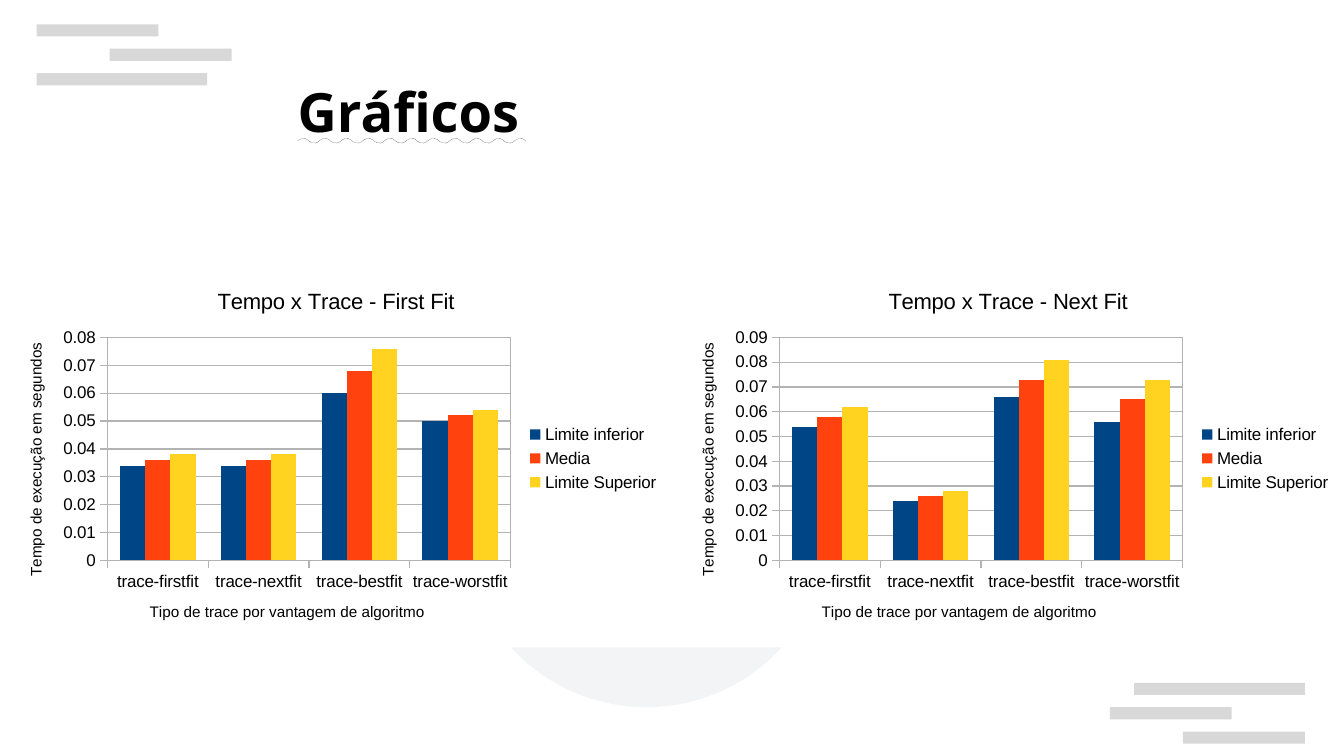
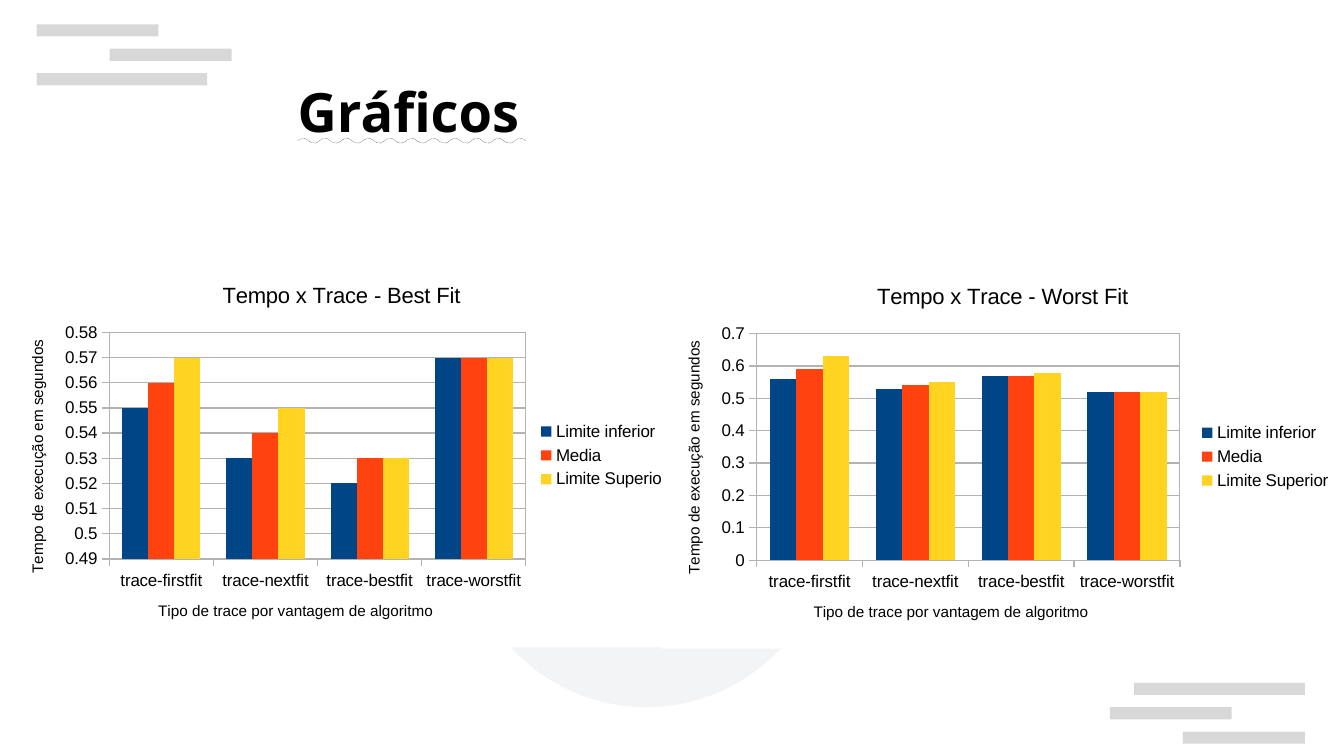
from dataclasses import dataclass
from typing import NamedTuple

import pptx
import pptx.chart.axis
import pptx.chart.chart
import pptx.chart.data
import pptx.dml.color
import pptx.enum.chart
import pptx.enum.shapes
import pptx.enum.text
import pptx.oxml
import pptx.oxml.ns
import pptx.slide
import pptx.text.text
import pptx.util

RGBColor = pptx.dml.color.RGBColor
BLACK = RGBColor(0x00, 0x00, 0x00)
WHITE = RGBColor(0xFF, 0xFF, 0xFF)
BAND_GREY = RGBColor(0xCC, 0xCC, 0xCC)
DISC_GREY = RGBColor(0x8D, 0x99, 0xAE)
GRID_GREY = RGBColor(0xB3, 0xB3, 0xB3)
SERIES_COLORS = (
    RGBColor(0x00, 0x45, 0x86),
    RGBColor(0xFF, 0x42, 0x0E),
    RGBColor(0xFF, 0xD3, 0x20),
)

TITLE_FONT = "Noto Sans"
CHART_FONT = "Arial"
COLUMNS, ROWS = 110.2, 62.0
CELL = 0.1

TRACES = ("trace-firstfit", "trace-nextfit", "trace-bestfit", "trace-worstfit")
LIMITS = ("Limite inferior", "Media", "Limite Superior")
TRACE_AXIS = "Tipo de trace por vantagem de algoritmo"
TIME_AXIS = "Tempo de execução em segundos"

NAMESPACES = (
    'xmlns:a="http://schemas.openxmlformats.org/drawingml/2006/main" '
    'xmlns:c="http://schemas.openxmlformats.org/drawingml/2006/chart"'
)


class Box(NamedTuple):
    column: float
    row: float
    columns: float
    rows: float

    def lengths(self) -> tuple[int, ...]:
        return tuple(cells(count) for count in self)


@dataclass(frozen=True)
class Decoration:
    box: Box
    color: RGBColor = BAND_GREY
    opacity: int = 75
    outline: pptx.enum.shapes.MSO_SHAPE = pptx.enum.shapes.MSO_SHAPE.RECTANGLE


@dataclass(frozen=True)
class TimeChart:
    algorithm: str
    box: Box
    times: tuple[tuple[float, ...], ...]
    top: float
    step: float = 0.01
    bottom: float = 0
    plot_left: float = 0.16
    plot_width: float = 0.6


TITLE_BOX = Box(-11.8, 3.9, 90.6, 10.4)
DECORATIONS = (
    Decoration(Box(93, 56, 14, 1)),
    Decoration(Box(91, 58, 10, 1)),
    Decoration(Box(97, 60, 10, 1)),
    Decoration(Box(3, 6, 14, 1)),
    Decoration(Box(9, 4, 10, 1)),
    Decoration(Box(3, 2, 10, 1)),
    Decoration(Box(38, 28, 30, 30), DISC_GREY, 10, pptx.enum.shapes.MSO_SHAPE.OVAL),
)
CHART_PAGES = (
    (
        TimeChart(
            "First Fit",
            Box(0, 22.1, COLUMNS / 2, 31),
            (
                (0.034, 0.034, 0.06, 0.05),
                (0.036, 0.036, 0.068, 0.052),
                (0.038, 0.038, 0.076, 0.054),
            ),
            top=0.08,
        ),
        TimeChart(
            "Next Fit",
            Box(COLUMNS / 2, 22.1, COLUMNS / 2, 31),
            (
                (0.054, 0.024, 0.066, 0.056),
                (0.058, 0.026, 0.073, 0.065),
                (0.062, 0.028, 0.081, 0.073),
            ),
            top=0.09,
        ),
    ),
    (
        TimeChart(
            "Best Fit",
            Box(0, 21.6, 56, 31.5),
            (
                (0.55, 0.53, 0.52, 0.57),
                (0.56, 0.54, 0.53, 0.57),
                (0.57, 0.55, 0.53, 0.57),
            ),
            top=0.58,
            bottom=0.49,
            plot_width=0.61,
        ),
        TimeChart(
            "Worst Fit",
            Box(COLUMNS - 56, 21.7, 56, 31.5),
            (
                (0.56, 0.53, 0.57, 0.52),
                (0.59, 0.54, 0.57, 0.52),
                (0.63, 0.55, 0.58, 0.52),
            ),
            top=0.7,
            step=0.1,
            plot_left=0.14,
            plot_width=0.62,
        ),
    ),
)


def cells(count: float) -> int:
    return pptx.util.Inches(count * CELL)


def format_font(
    font: pptx.text.text.Font,
    *,
    size: float,
    face: str = CHART_FONT,
    bold: bool = False,
) -> None:
    font.size = pptx.util.Pt(size)
    font.name = face
    font.bold = bold
    font.color.rgb = BLACK


def write_text(
    frame: pptx.text.text.TextFrame,
    text: str,
    *,
    size: float,
    face: str = CHART_FONT,
    bold: bool = False,
    underline: pptx.enum.text.MSO_UNDERLINE | None = None,
) -> None:
    paragraph = frame.paragraphs[0]
    paragraph.text = text
    paragraph.alignment = pptx.enum.text.PP_ALIGN.CENTER
    font = paragraph.runs[0].font
    format_font(font, size=size, face=face, bold=bold)
    font.underline = underline


def decorate_layout(layout: pptx.slide.SlideLayout, slide: pptx.slide.Slide) -> None:
    for decoration in DECORATIONS:
        shape = slide.shapes.add_shape(decoration.outline, *decoration.box.lengths())
        shape.shadow.inherit = False
        shape.line.fill.background()
        shape.fill.solid()
        shape.fill.fore_color.rgb = decoration.color
        color = next(shape.element.iter(pptx.oxml.ns.qn("a:srgbClr")))
        alpha = pptx.oxml.parse_xml(
            f'<a:alpha {NAMESPACES} val="{decoration.opacity * 1000}"/>'
        )
        color.append(alpha)
        layout.shapes.element.append(shape.element)


def add_title(slide: pptx.slide.Slide) -> None:
    title = slide.shapes.title
    title.left, title.top, title.width, title.height = TITLE_BOX.lengths()
    frame = title.text_frame
    frame.margin_left = frame.margin_top = frame.margin_right = frame.margin_bottom = 0
    frame.vertical_anchor = pptx.enum.text.MSO_ANCHOR.MIDDLE
    frame.auto_size = pptx.enum.text.MSO_AUTO_SIZE.NONE
    frame.word_wrap = True
    write_text(
        frame,
        "Gráficos",
        size=32,
        face=TITLE_FONT,
        bold=True,
        underline=pptx.enum.text.MSO_UNDERLINE.WAVY_LINE,
    )


def format_axis(axis: pptx.chart.axis.CategoryAxis | pptx.chart.axis.ValueAxis, title: str) -> None:
    axis.has_title = True
    write_text(axis.axis_title.text_frame, title, size=9)
    format_font(axis.tick_labels.font, size=10)
    axis.tick_labels.number_format = "General"
    axis.tick_labels.number_format_is_linked = False
    axis.major_tick_mark = pptx.enum.chart.XL_TICK_MARK.OUTSIDE
    axis.minor_tick_mark = pptx.enum.chart.XL_TICK_MARK.NONE
    axis.format.line.color.rgb = GRID_GREY
    axis.format.line.width = 0


def frame_plot(chart: pptx.chart.chart.Chart, spec: TimeChart) -> None:
    qn = pptx.oxml.ns.qn
    body = chart.element.find(qn("c:chart"))
    plot_area = body.find(qn("c:plotArea"))
    for automatic in plot_area.findall(qn("c:layout")):
        plot_area.remove(automatic)
    shares = {"x": spec.plot_left, "y": 0.18, "w": spec.plot_width, "h": 0.59}
    measures = "".join(f'<c:{key} val="{share}"/>' for key, share in shares.items())
    plot_area.insert(
        0,
        pptx.oxml.parse_xml(
            f'<c:layout {NAMESPACES}><c:manualLayout><c:layoutTarget val="inner"/>'
            f'<c:xMode val="edge"/><c:yMode val="edge"/>{measures}'
            "</c:manualLayout></c:layout>"
        ),
    )
    plot_area.append(
        pptx.oxml.parse_xml(
            f'<c:spPr {NAMESPACES}><a:noFill/><a:ln w="0"><a:solidFill>'
            f'<a:srgbClr val="{GRID_GREY}"/></a:solidFill></a:ln></c:spPr>'
        )
    )
    body.addnext(
        pptx.oxml.parse_xml(
            f'<c:spPr {NAMESPACES}><a:solidFill><a:srgbClr val="{WHITE}"/>'
            "</a:solidFill><a:ln><a:noFill/></a:ln></c:spPr>"
        )
    )


def add_time_chart(slide: pptx.slide.Slide, spec: TimeChart) -> None:
    table = pptx.chart.data.CategoryChartData()
    table.categories = TRACES
    for limit, times in zip(LIMITS, spec.times):
        table.add_series(limit, times)
    chart = slide.shapes.add_chart(
        pptx.enum.chart.XL_CHART_TYPE.COLUMN_CLUSTERED, *spec.box.lengths(), table
    ).chart
    format_font(chart.font, size=10)
    chart.has_title = True
    write_text(chart.chart_title.text_frame, f"Tempo x Trace - {spec.algorithm}", size=13)
    chart.has_legend = True
    chart.legend.position = pptx.enum.chart.XL_LEGEND_POSITION.RIGHT
    chart.legend.include_in_layout = False
    format_font(chart.legend.font, size=10)

    columns = chart.plots[0]
    columns.gap_width = 100
    columns.overlap = 0
    columns.vary_by_categories = False
    for series, color in zip(columns.series, SERIES_COLORS):
        series.format.fill.solid()
        series.format.fill.fore_color.rgb = color

    format_axis(chart.category_axis, TRACE_AXIS)
    times_axis = chart.value_axis
    format_axis(times_axis, TIME_AXIS)
    times_axis.minimum_scale = spec.bottom
    times_axis.maximum_scale = spec.top
    times_axis.major_unit = spec.step
    times_axis.has_major_gridlines = True
    times_axis.major_gridlines.format.line.color.rgb = GRID_GREY
    times_axis.major_gridlines.format.line.width = 0
    frame_plot(chart, spec)


def main() -> None:
    deck = pptx.Presentation()
    deck.slide_width, deck.slide_height = cells(COLUMNS), cells(ROWS)
    layout = deck.slide_layouts.get_by_name("Title Only")
    for page, time_charts in enumerate(CHART_PAGES):
        slide = deck.slides.add_slide(layout)
        if page == 0:
            decorate_layout(layout, slide)
        add_title(slide)
        for time_chart in time_charts:
            add_time_chart(slide, time_chart)
    deck.save("out.pptx")


if __name__ == "__main__":
    main()
